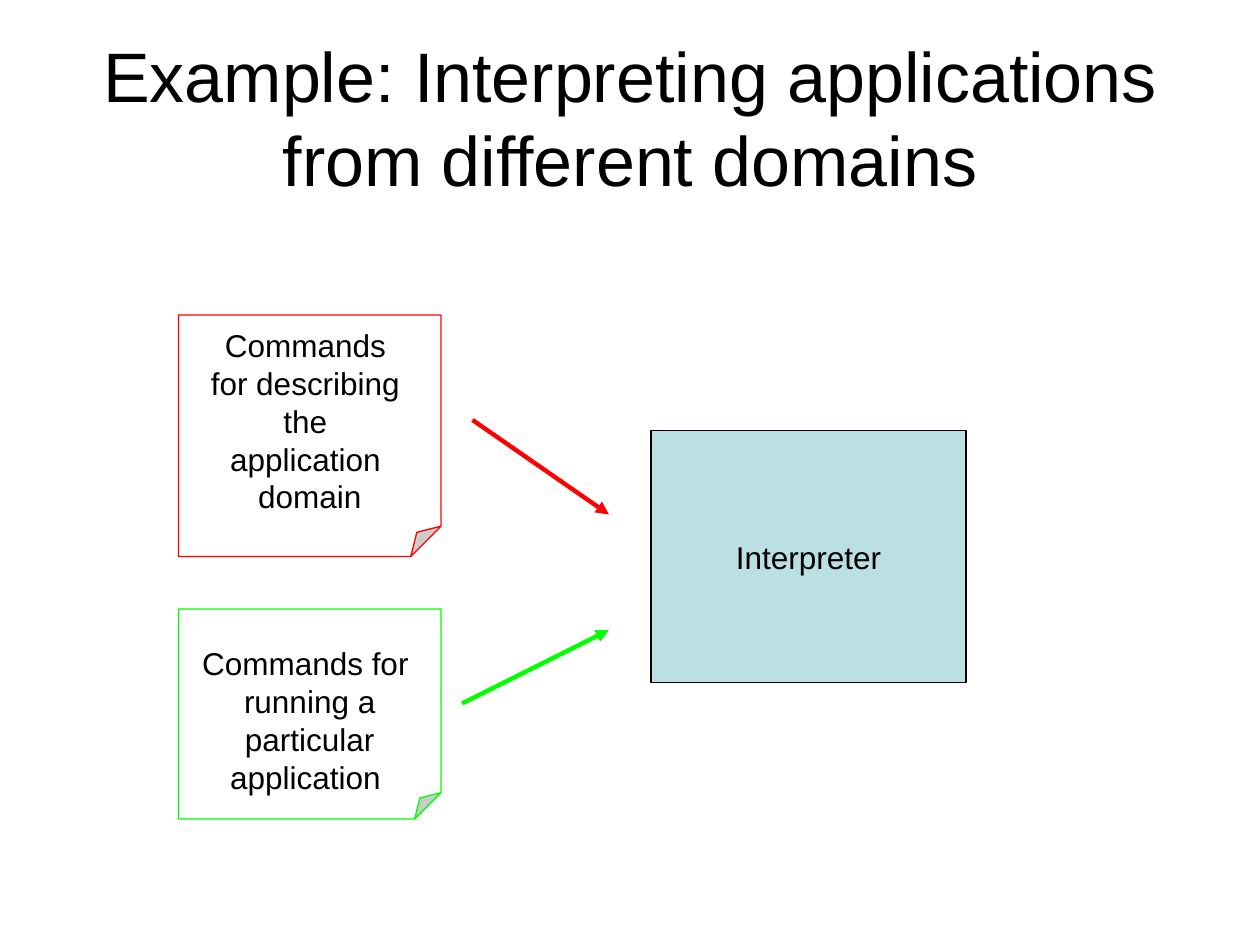
from lxml import etree
from pptx import Presentation
from pptx.dml.color import RGBColor
from pptx.enum.shapes import MSO_CONNECTOR, MSO_SHAPE
from pptx.enum.text import MSO_ANCHOR, PP_ALIGN
from pptx.oxml.ns import qn
from pptx.util import Pt

RECTANGLE = MSO_SHAPE.RECTANGLE
FOLDED_CORNER = MSO_SHAPE.FOLDED_CORNER
STRAIGHT = MSO_CONNECTOR.STRAIGHT
MIDDLE = MSO_ANCHOR.MIDDLE
CENTER = PP_ALIGN.CENTER

COLORS = {
    "text": "000000",
    "paper": "FFFFFF",
    "interpreter": "BBE0E3",
    "domain": "FF0000",
    "application": "00FF00",
}
FONT = "Arial"
NOTE_LEFT, NOTE_WIDTH = 102, 150


def color(name):
    return RGBColor.from_string(COLORS[name])


def write_text(shape, lines, size, wrap=False, top_inset=3.6):
    frame = shape.text_frame
    frame_format = {
        "word_wrap": wrap,
        "vertical_anchor": MIDDLE,
        "margin_top": Pt(top_inset),
    }
    for name, value in frame_format.items():
        setattr(frame, name, value)
    for index, line in enumerate(lines):
        paragraph = frame.paragraphs[0] if index == 0 else frame.add_paragraph()
        paragraph.alignment = CENTER
        run = paragraph.add_run()
        run.text = line
        for name, value in {"name": FONT, "size": Pt(size)}.items():
            setattr(run.font, name, value)
        run.font.color.rgb = color("text")


def add_title(slide, text):
    box = slide.shapes.add_textbox(Pt(36), Pt(21.6), Pt(648), Pt(90))
    write_text(box, [text], 40, wrap=True)


def add_box(slide, preset, bounds, fill, line, lines, top_inset=3.6):
    shape = slide.shapes.add_shape(preset, *map(Pt, bounds))
    shape.shadow.inherit = False
    shape.fill.solid()
    shape.fill.fore_color.rgb = color(fill)
    shape.line.color.rgb = color(line)
    shape.line.width = Pt(0.75)
    write_text(shape, lines, 18, top_inset=top_inset)
    return shape


def add_note(slide, top, height, line, lines, top_inset=3.6):
    """Add a sheet whose folded corner is an eighth of its shorter side."""
    bounds = (NOTE_LEFT, top, NOTE_WIDTH, height)
    note = add_box(slide, FOLDED_CORNER, bounds, "paper", line, lines, top_inset)
    geometry = note._element.spPr.find(qn("a:prstGeom"))
    guides = geometry.find(qn("a:avLst"))
    if guides is None:
        guides = etree.SubElement(geometry, qn("a:avLst"))
    etree.SubElement(guides, qn("a:gd"), name="adj", fmla="val 12500")


def add_arrow(slide, start, end, line):
    arrow = slide.shapes.add_connector(STRAIGHT, *map(Pt, start + end))
    arrow.line.color.rgb = color(line)
    arrow.line.width = Pt(2.5)
    properties = arrow._element.spPr
    etree.SubElement(properties.find(qn("a:ln")), qn("a:tailEnd"), type="triangle")
    etree.SubElement(properties, qn("a:effectLst"))


def main():
    presentation = Presentation()
    presentation.slide_width = Pt(720)
    presentation.slide_height = Pt(540)
    slide = presentation.slides.add_slide(presentation.slide_layouts[6])

    add_title(slide, "Example: Interpreting applications from different domains")
    add_box(slide, RECTANGLE, (372, 246, 180, 144), "interpreter", "text",
            ["Interpreter"])
    add_note(slide, 180, 138, "domain",
             ["Commands ", "for describing ", "the ", "application ", "domain"])
    add_note(slide, 348, 120, "application",
             ["Commands for ", "running a", "particular", "application "],
             top_inset=25.2)
    add_arrow(slide, (270, 240), (348, 294), "domain")
    add_arrow(slide, (264, 402), (348, 360), "application")

    presentation.save("out.pptx")


if __name__ == "__main__":
    main()
